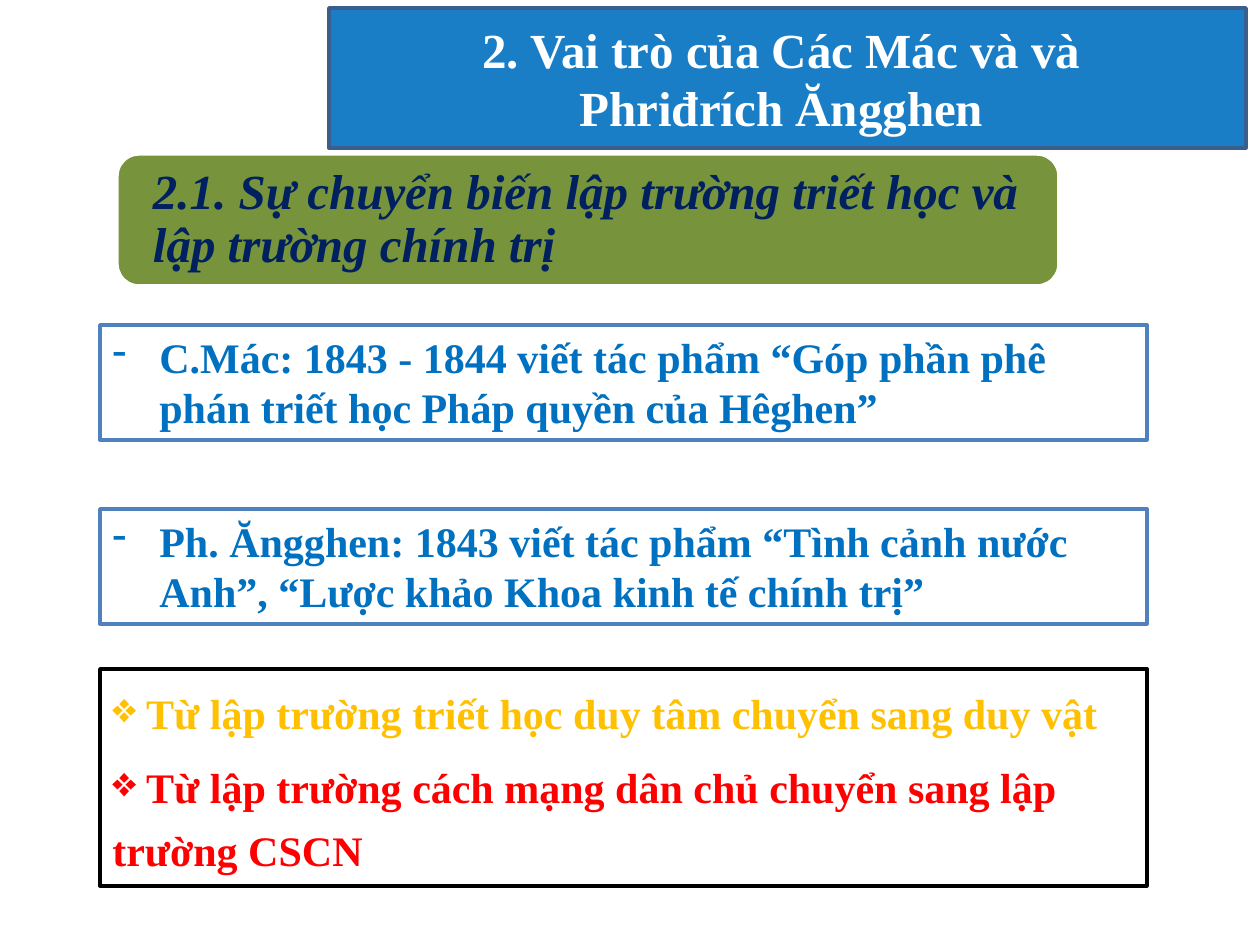
from lxml import etree
from pptx import Presentation
from pptx.dml.color import RGBColor
from pptx.enum.shapes import MSO_SHAPE as Shape
from pptx.enum.text import MSO_ANCHOR as Anchor, MSO_AUTO_SIZE as AutoSize, PP_ALIGN as Align
from pptx.oxml.ns import qn
from pptx.util import Emu, Pt

PX = 914400 / 126
FONT = "Times New Roman"
WHITE = RGBColor(0xFF, 0xFF, 0xFF)
BLACK = RGBColor(0, 0, 0)
BLUE = RGBColor(0x00, 0x70, 0xC0)
TITLE_EDGE = RGBColor(0x3A, 0x5F, 0x8C)
BOX_EDGE = RGBColor(0x4F, 0x81, 0xBD)
GREEN = RGBColor(0x77, 0x93, 0x3C)
NAVY = RGBColor(0x00, 0x20, 0x60)
GOLD = RGBColor(0xFF, 0xC0, 0x00)
RED = RGBColor(0xFF, 0x00, 0x00)

BOX_LEFT, BOX_WIDTH = 100, 1047
WORKS = [
    (325, "C.Mác: 1843 - 1844 viết tác phẩm “Góp phần phê phán triết học Pháp quyền của Hêghen”"),
    (509, "Ph. Ăngghen: 1843 viết tác phẩm “Tình cảnh nước Anh”, “Lược khảo Khoa kinh tế chính trị”"),
]
SHIFTS = [
    (" Từ lập trường triết học duy tâm chuyển sang duy vật", GOLD),
    (" Từ lập trường cách mạng dân chủ chuyển sang lập trường CSCN", RED),
]


def px(value):
    return Emu(round(value * PX))


def style(para, size, color, italic=False):
    for span in para.runs:
        font = span.font
        font.name, font.size, font.bold, font.italic = FONT, Pt(size), True, italic
        font.color.rgb = color


def outline(shape, color):
    shape.line.color.rgb = color
    shape.line.width = Pt(2)


def add_bullet(para, char, indent=0):
    """Give the paragraph a bullet with a hanging indent in px."""
    props = para._p.get_or_add_pPr()
    props.set("marL", str(px(indent)))
    props.set("indent", str(-px(indent)))
    etree.SubElement(props, qn("a:buChar")).set("char", char)


def add_title(slide):
    title = slide.shapes.title
    title.left, title.top, title.width, title.height = map(px, (329, 8, 917, 140))
    geometry = etree.SubElement(title._element.spPr, qn("a:prstGeom"), prst="roundRect")
    etree.SubElement(geometry, qn("a:avLst"))
    title.fill.solid()
    title.fill.fore_color.rgb = BLUE
    color = title._element.spPr.find(qn("a:solidFill")).find(qn("a:srgbClr"))
    etree.SubElement(color, qn("a:alpha"), val="90000")
    outline(title, TITLE_EDGE)
    frame = title.text_frame
    frame.auto_size = AutoSize.NONE
    frame.vertical_anchor = Anchor.MIDDLE
    frame.text = "2. Vai trò của Các Mác và và \nPhriđrích Ăngghen "
    for para in frame.paragraphs:
        para.alignment = Align.CENTER
        style(para, 28, WHITE)


def add_subtitle(slide):
    shapes = slide.shapes.add_group_shape().shapes
    band = shapes.add_shape(Shape.ROUNDED_RECTANGLE, *map(px, (117, 154, 942, 132)))
    band.shadow.inherit = False
    band.fill.solid()
    band.fill.fore_color.rgb = GREEN
    outline(band, WHITE)
    frame = shapes.add_textbox(*map(px, (123, 160, 930, 120))).text_frame
    frame.word_wrap = True
    frame.vertical_anchor = Anchor.MIDDLE
    frame.margin_left = frame.margin_right = px(30)
    frame.margin_top = frame.margin_bottom = 0
    frame.text = "2.1. Sự chuyển biến lập trường triết học và lập trường chính trị"
    para = frame.paragraphs[0]
    para.line_spacing = 0.9
    para.space_after = Pt(10)
    style(para, 28, NAVY, italic=True)


def add_box(slide, top, height, edge, lines):
    """Add an outlined box and return its paragraphs, left aligned."""
    box = slide.shapes.add_shape(Shape.RECTANGLE, *map(px, (BOX_LEFT, top, BOX_WIDTH, height)))
    box.shadow.inherit = False
    box.fill.background()
    outline(box, edge)
    frame = box.text_frame
    frame.word_wrap = True
    frame.auto_size = AutoSize.SHAPE_TO_FIT_TEXT
    frame.vertical_anchor = Anchor.TOP
    frame.text = "\n".join(lines)
    for para in frame.paragraphs:
        para.alignment = Align.LEFT
    return frame.paragraphs


def add_work(slide, top, text):
    para = add_box(slide, top, 115, BOX_EDGE, [text])[0]
    add_bullet(para, "-", 47)
    style(para, 24, BLUE)


def add_shifts(slide):
    paras = add_box(slide, 669, 217, BLACK, [text for text, _ in SHIFTS])
    for para, (_, color) in zip(paras, SHIFTS):
        para.line_spacing = 1.25
        para.space_before = Pt(6)
        add_bullet(para, "❖")
        style(para, 24, color)


def main():
    deck = Presentation()
    deck.slide_width, deck.slide_height = px(1260), px(945)
    page = deck.slides.add_slide(deck.slide_layouts[5])
    add_title(page)
    add_subtitle(page)
    for top, text in WORKS:
        add_work(page, top, text)
    add_shifts(page)
    deck.save("out.pptx")


if __name__ == "__main__":
    main()
